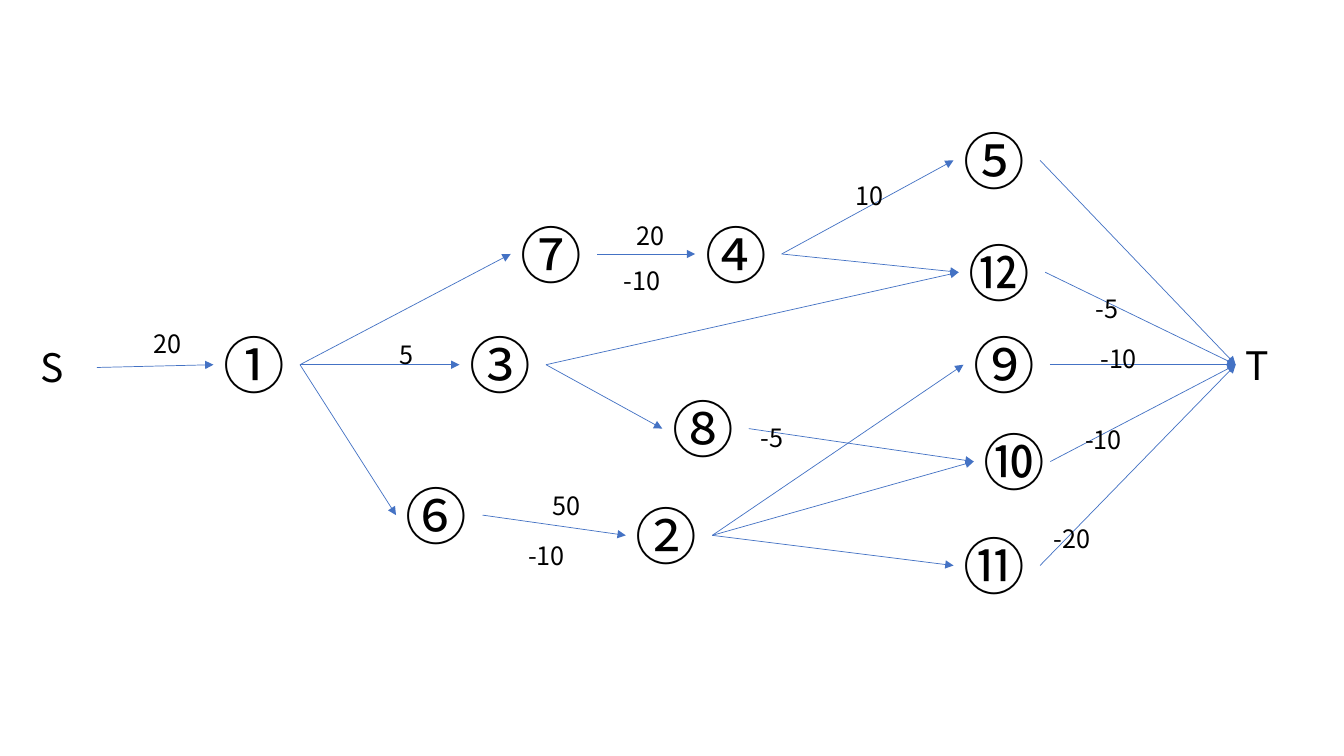
from lxml.etree import SubElement as Sub
from pptx import Presentation
from pptx.dml.color import RGBColor as Rgb
from pptx.enum.shapes import MSO_CONNECTOR as Link
from pptx.enum.text import MSO_AUTO_SIZE as Fit
from pptx.oxml.ns import qn
from pptx.util import Cm, Pt

FONT = "Noto Sans CJK JP"
COLORS = {"text": "000000", "edge": "4472C4"}

# name: text, left, middle, width, size
NODES = {
    "S": ("S", 0.76, 9.26, 1.68, 28),
    1: ("①", 5.38, 9.19, 2.18, 44),
    2: ("②", 15.77, 13.49, 2.18, 44),
    3: ("③", 11.58, 9.19, 2.18, 44),
    4: ("④", 17.52, 6.4, 2.18, 44),
    5: ("⑤", 24.03, 4.04, 2.18, 44),
    6: ("⑥", 9.98, 12.98, 2.18, 44),
    7: ("⑦", 12.87, 6.4, 2.18, 44),
    8: ("⑧", 16.69, 10.8, 2.18, 44),
    9: ("⑨", 24.28, 9.19, 2.18, 44),
    10: ("⑩", 24.54, 11.63, 1.93, 44),
    11: ("⑪", 24.03, 14.25, 2.18, 44),
    12: ("⑫", 24.16, 6.86, 2.18, 44),
    "T": ("T", 31.14, 9.19, 2.74, 28),
}
EDGES = {
    "S": [1], 1: [3, 6, 7], 2: [9, 10, 11], 3: [8, 12], 4: [12, 5],
    6: [2], 7: [4], 8: [10],
    5: ["T"], 12: ["T"], 9: ["T"], 10: ["T"], 11: ["T"],
}
# text, left, middle, width
COSTS = [
    ("20", 3.63, 8.66, 2.18),
    ("50", 13.67, 12.73, 1.5),
    ("5", 9.83, 8.94, 2.31),
    ("20", 15.8, 5.94, 1.47),
    ("10", 21.31, 4.93, 2.18),
    ("-10", 13.06, 14.0, 2.18),
    ("-10", 15.47, 7.06, 2.62),
    ("-5", 18.92, 11.02, 1.5),
    ("-10", 27.48, 9.04, 1.8),
    ("-10", 27.1, 11.07, 1.9),
    ("-20", 26.31, 13.56, 2.18),
    ("-5", 27.36, 7.77, 1.47),
]
HEIGHTS = {44: 2.13, 28: 1.45, 18: 1.02}

deck = Presentation()
deck.slide_width, deck.slide_height = Cm(33.87), Cm(19.05)
slide = deck.slides.add_slide(deck.slide_layouts[6])


def add_text(text, left, mid, width, size):
    high = HEIGHTS[size]
    box = slide.shapes.add_textbox(Cm(left), Cm(mid - high / 2), Cm(width), Cm(high))
    frame = box.text_frame
    frame.text = text
    frame.word_wrap = True
    frame.auto_size = Fit.SHAPE_TO_FIT_TEXT
    run = frame.paragraphs[0].runs[0]
    run.font.size = Pt(size)
    run.font.name = FONT
    run.font.color.rgb = Rgb.from_string(COLORS["text"])
    Sub(run.font._element, qn("a:ea"), typeface=FONT)


def add_edge(start, end):
    _, left, y1, width, _ = NODES[start]
    _, x2, y2, _, _ = NODES[end]
    edge = slide.shapes.add_connector(
        Link.STRAIGHT, Cm(left + width), Cm(y1), Cm(x2), Cm(y2))
    edge.line.width = Pt(0.5)
    edge.line.color.rgb = Rgb.from_string(COLORS["edge"])
    Sub(edge.line._get_or_add_ln(), qn("a:tailEnd"), type="triangle")
    Sub(edge._element.spPr, qn("a:effectLst"))


for node in NODES.values():
    add_text(*node)
for start, ends in EDGES.items():
    for end in ends:
        add_edge(start, end)
for cost in COSTS:
    add_text(*cost, 18)

deck.save("out.pptx")
